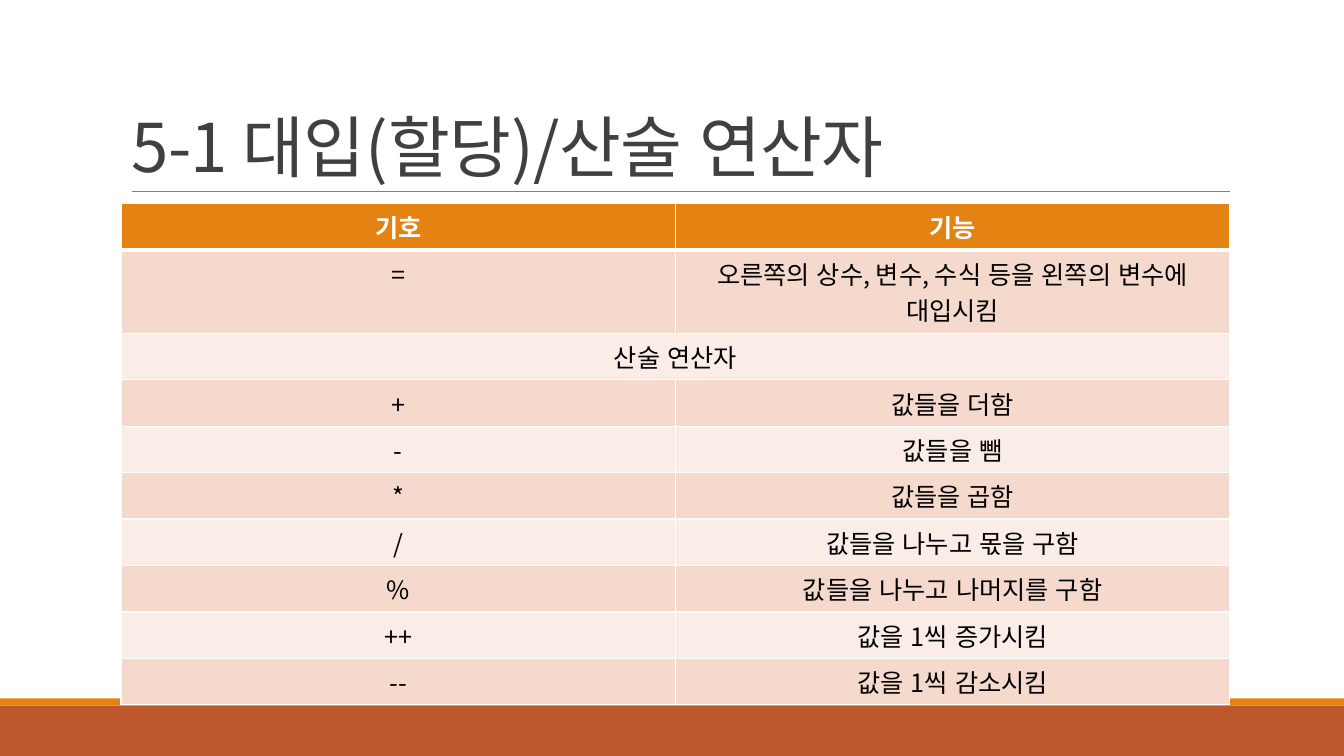
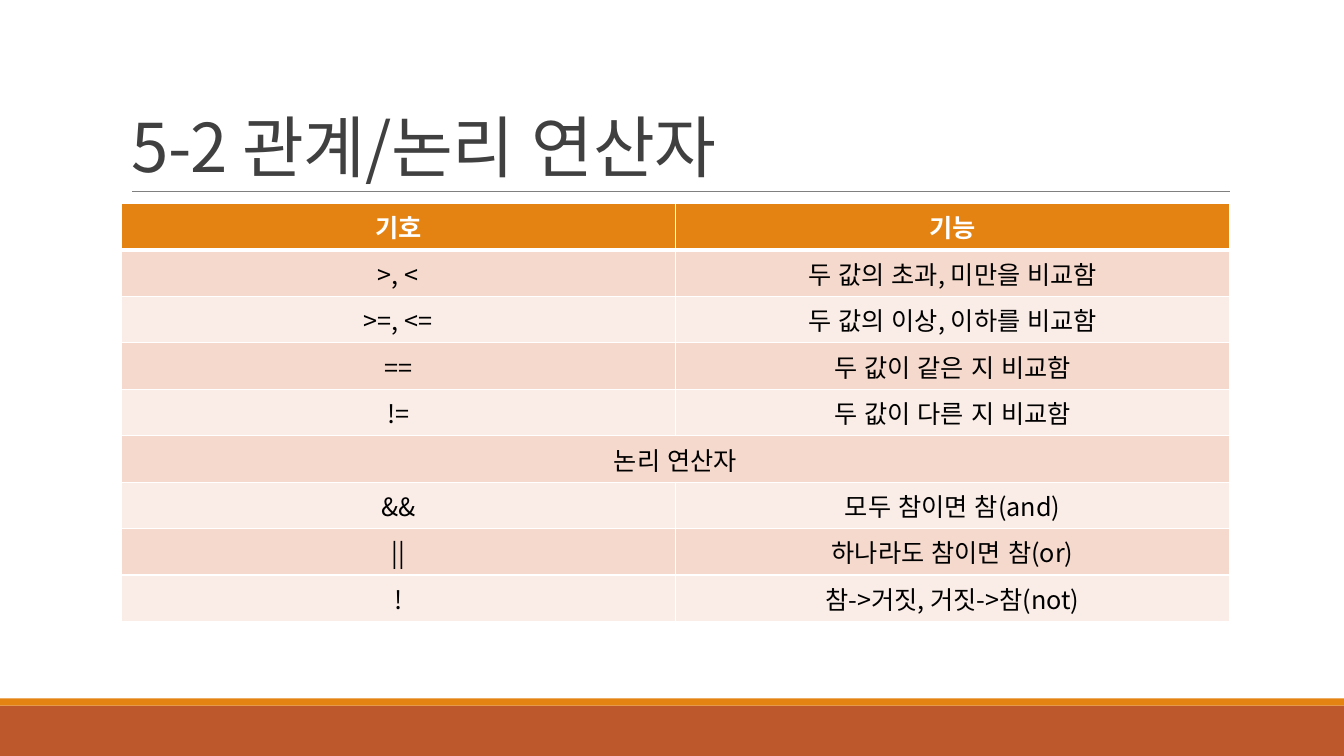
from dataclasses import dataclass

from lxml.etree import SubElement
from pptx import Presentation
from pptx.dml.color import RGBColor
from pptx.enum.lang import MSO_LANGUAGE_ID
from pptx.enum.shapes import MSO_CONNECTOR, MSO_SHAPE
from pptx.enum.text import MSO_ANCHOR, PP_ALIGN
from pptx.oxml.ns import qn
from pptx.slide import Slide
from pptx.table import _Cell
from pptx.util import Cm, Pt

FONT = "Noto Sans CJK KR"
COLORS = {
    "band": "BD582C",
    "accent": "E48312",
    "rule": "808080",
    "title": "404040",
    "white": "FFFFFF",
    "black": "000000",
    "row_dark": "F5D9CC",
    "row_light": "FAEDE7",
}
PAGE_WIDTH, PAGE_HEIGHT = Cm(33.87), Cm(19.05)
TABLE_LEFT, TABLE_TOP, TABLE_WIDTH = Cm(3.05), Cm(5.13), Cm(27.94)
ROW_HEIGHT, WRAPPED_ROW_HEIGHT = Cm(1.17), Cm(2.1)
LINE_CAPACITY = 28  # characters that fit on one line of a cell
HEADER = ("기호", "기능")


@dataclass(frozen=True)
class Band:
    top: float
    height: float
    color: str


@dataclass(frozen=True)
class OperatorPage:
    title: str
    rows: tuple[tuple[str, ...], ...]  # a row with one text spans the table


BANDS = (Band(17.78, 1.27, "band"), Band(17.6, 0.18, "accent"))

PAGES = (
    OperatorPage("5-1 대입(할당)/산술 연산자", (
        ("=", "오른쪽의 상수, 변수, 수식 등을 왼쪽의 변수에 대입시킴"),
        ("산술 연산자",),
        ("+", "값들을 더함"),
        ("-", "값들을 뺌"),
        ("*", "값들을 곱함"),
        ("/", "값들을 나누고 몫을 구함"),
        ("%", "값들을 나누고 나머지를 구함"),
        ("++", "값을 1씩 증가시킴"),
        ("--", "값을 1씩 감소시킴"),
    )),
    OperatorPage("5-2 관계/논리 연산자", (
        (">, <", "두 값의 초과, 미만을 비교함"),
        (">=, <=", "두 값의 이상, 이하를 비교함"),
        ("==", "두 값이 같은 지 비교함"),
        ("!=", "두 값이 다른 지 비교함"),
        ("논리 연산자",),
        ("&&", "모두 참이면 참(and)"),
        ("||", "하나라도 참이면 참(or)"),
        ("!", "참->거짓, 거짓->참(not)"),
    )),
)


def color(name: str) -> RGBColor:
    return RGBColor.from_string(COLORS[name])


def style_paragraph(para, size: float, color_name: str, bold: bool = False) -> None:
    """Set the paragraph font, and the Korean font and language of its text."""
    para.font.size = Pt(size)
    para.font.bold = bold
    para.font.color.rgb = color(color_name)
    para.font.name = FONT
    for span in para.runs:
        span.font.language_id = MSO_LANGUAGE_ID.KOREAN
        SubElement(span._r.get_or_add_rPr(), qn("a:ea"), typeface=FONT)


# Shared frame: bands, rule and title
def add_frame(page: Slide, title: str) -> None:
    for band in BANDS:
        bar = page.shapes.add_shape(MSO_SHAPE.RECTANGLE, 0, Cm(band.top), PAGE_WIDTH, Cm(band.height))
        bar.shadow.inherit = False
        bar.fill.solid()
        bar.fill.fore_color.rgb = color(band.color)
        bar.line.fill.background()

    rule = page.shapes.add_connector(MSO_CONNECTOR.STRAIGHT, Cm(3.33), Cm(4.83), Cm(31), Cm(4.83))
    rule.line.color.rgb = color("rule")
    rule.line.width = Pt(0.5)
    SubElement(rule._element.spPr, qn("a:effectLst"))

    box = page.shapes.add_textbox(Cm(3.07), Cm(0.79), TABLE_WIDTH, Cm(4.04))
    frame = box.text_frame
    frame.word_wrap = True
    frame.vertical_anchor = MSO_ANCHOR.BOTTOM
    para = frame.paragraphs[0]
    para.text = title
    para.line_spacing = 0.85
    style_paragraph(para, 48, "title")
    para._p.pPr.find(qn("a:defRPr")).set("spc", "-50")


# Operator table
def set_borders(cell: _Cell, top: float, bottom: float) -> None:
    properties = cell._tc.get_or_add_tcPr()
    for side, width in (("L", 1), ("R", 1), ("T", top), ("B", bottom)):
        line = SubElement(properties, qn(f"a:ln{side}"), w=str(Pt(width)))
        fill = SubElement(line, qn("a:solidFill"))
        SubElement(fill, qn("a:srgbClr"), val=COLORS["white"])


def add_operator_table(page: Slide, rows: tuple[tuple[str, ...], ...]) -> None:
    lines = (HEADER, *rows)
    table = page.shapes.add_table(
        len(lines), len(HEADER), TABLE_LEFT, TABLE_TOP, TABLE_WIDTH, ROW_HEIGHT * len(lines)
    ).table
    for index, texts in enumerate(lines):
        is_header = index == 0
        fill_name = "accent" if is_header else "row_dark" if index % 2 else "row_light"
        wraps = max(map(len, texts)) > LINE_CAPACITY
        table.rows[index].height = WRAPPED_ROW_HEIGHT if wraps else ROW_HEIGHT
        for column in range(len(HEADER)):
            cell = table.cell(index, column)
            set_borders(cell, top=3 if index == 1 else 1, bottom=3 if is_header else 1)
            cell.fill.solid()
            cell.fill.fore_color.rgb = color(fill_name)
        for column, text in enumerate(texts):
            para = table.cell(index, column).text_frame.paragraphs[0]
            para.text = text
            para.alignment = PP_ALIGN.CENTER
            style_paragraph(para, 18, "white" if is_header else "black", is_header)
        if len(texts) == 1:
            table.cell(index, 0).merge(table.cell(index, len(HEADER) - 1))


def main() -> None:
    deck = Presentation()
    deck.slide_width, deck.slide_height = PAGE_WIDTH, PAGE_HEIGHT
    for content in PAGES:
        page = deck.slides.add_slide(deck.slide_layouts[6])
        add_frame(page, content.title)
        add_operator_table(page, content.rows)
    deck.save("out.pptx")


if __name__ == "__main__":
    main()
